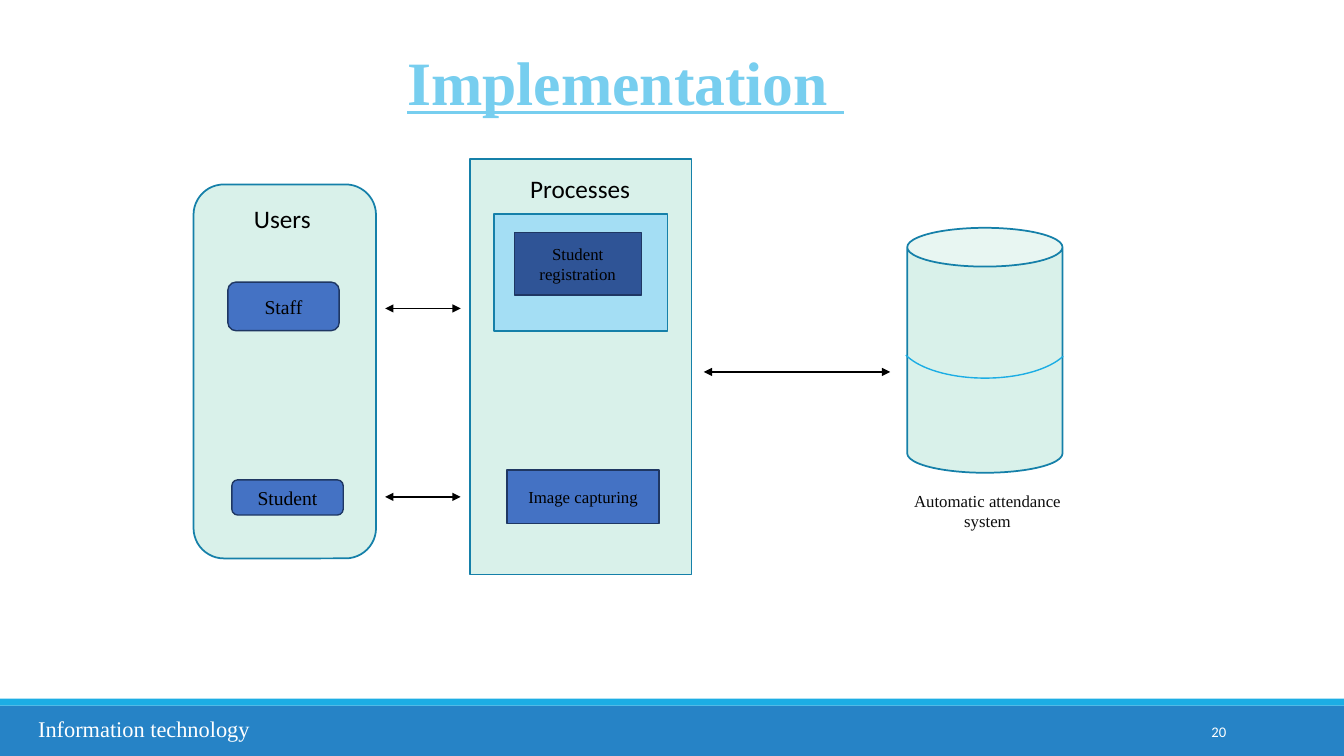
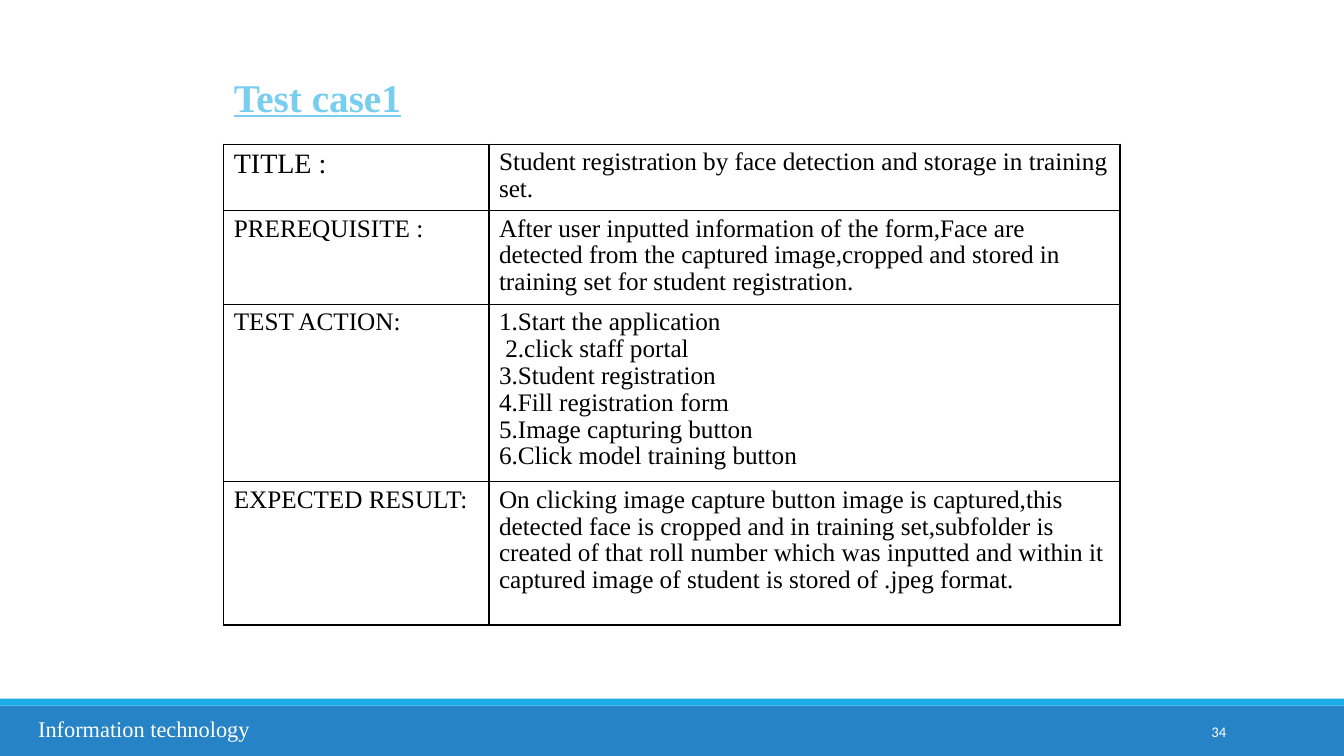
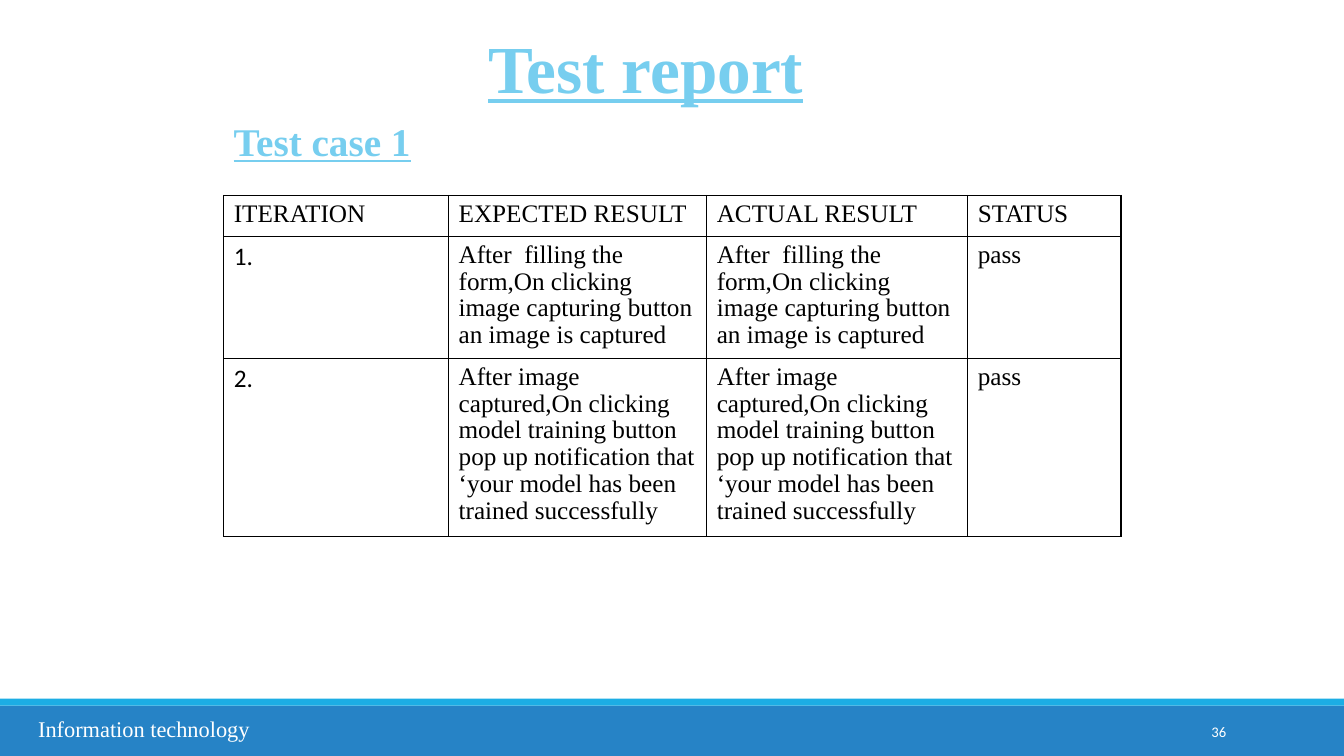
import pptx
import pptx.util
import pptx.dml.color
import pptx.enum.shapes
import pptx.enum.text
import pptx.oxml.ns
from dataclasses import dataclass
from lxml import etree

SHAPE = pptx.enum.shapes.MSO_SHAPE
ALIGN = pptx.enum.text.PP_ALIGN
ANCHOR = pptx.enum.text.MSO_ANCHOR
Pt = pptx.util.Pt
qn = pptx.oxml.ns.qn


@dataclass(frozen=True)
class Theme:
    """Colours, fonts and type sizes of the deck."""
    band: str = "2683C6"
    stripe: str = "1CADE4"
    heading: str = "77CEEF"
    panel: str = "D9F1EA"
    panel_line: str = "1580A9"
    inset: str = "A4DEF4"
    box: str = "4472C4"
    box_dark: str = "2F5496"
    box_line: str = "1F3763"
    white: str = "FFFFFF"
    black: str = "000000"
    caption: str = "0D0D0D"
    serif: str = "Times New Roman"
    sans: str = "Calibri"
    report: float = 48
    title: float = 44
    subtitle: float = 28
    first_cell: float = 20
    body: float = 18
    footer: float = 16
    button: float = 14
    small: float = 12
    number: float = 10.5
    cell_spacing: float = 0.96


T = Theme()
SLIDE = (0, 0, 13.33, 7.5)
TABLE_LEFT = 16.65


def part(box, left, top, width, height):
    """Return the box at the given percentages of another box."""
    x, y, w, h = box
    return (x + w * left / 100, y + h * top / 100, w * width / 100, h * height / 100)


def emu(box):
    """Convert a box from inches to EMU."""
    return [pptx.util.Inches(v) for v in box]


def rgb(color):
    """Return a colour object for a hex string."""
    return pptx.dml.color.RGBColor.from_string(color)


def style(p, size, color=T.black, font=T.serif, align=ALIGN.LEFT, heading=False):
    """Format a whole paragraph."""
    p.alignment = align
    p.font.size = Pt(size)
    p.font.name = font
    p.font.color.rgb = rgb(color)
    p.font.bold = p.font.underline = heading


def write(sp, text, size, anchor=ANCHOR.TOP, **look):
    """Put one formatted paragraph in a shape."""
    tf = sp.text_frame
    tf.word_wrap = True
    tf.auto_size = pptx.enum.text.MSO_AUTO_SIZE.NONE
    tf.vertical_anchor = anchor
    tf.text = text
    style(tf.paragraphs[0], size, **look)


def add_text(s, box, text, size, **look):
    """Add a text box."""
    write(s.shapes.add_textbox(*emu(box)), text, size, **look)


def add_shape(s, kind, box, fill=None, line=None, width=1):
    """Add a flat preset shape."""
    sp = s.shapes.add_shape(kind, *emu(box))
    sp.shadow.inherit = False
    if fill:
        sp.fill.solid()
        sp.fill.fore_color.rgb = rgb(fill)
    else:
        sp.fill.background()
    if line:
        sp.line.color.rgb = rgb(line)
        sp.line.width = Pt(width)
    else:
        sp.line.fill.background()
    return sp


def add_panel(s, kind, box, fill=T.panel):
    """Add a pale diagram panel."""
    return add_shape(s, kind, box, fill, T.panel_line, 1.25)


def add_button(s, kind, box, text, size, fill=T.box):
    """Add a labelled diagram block."""
    sp = add_shape(s, kind, box, fill, T.box_line)
    write(sp, text, size, anchor=ANCHOR.MIDDLE, align=ALIGN.CENTER)


def add_arrow(s, left, right, y):
    """Add a level two-headed arrow at percentages of the slide."""
    x, y, w, _ = part(SLIDE, left, y, right - left, 0)
    c = s.shapes.add_connector(pptx.enum.shapes.MSO_CONNECTOR.STRAIGHT, *emu((x, y, x + w, y)))
    c.line.color.rgb = rgb(T.black)
    c.line.width = Pt(1)
    ln = c.line._get_or_add_ln()
    for end in ("a:headEnd", "a:tailEnd"):
        etree.SubElement(ln, qn(end), type="triangle")
    etree.SubElement(c._element.spPr, qn("a:effectLst"))


def add_heading(s, box, text, size, sp=None):
    """Write an underlined heading in a placeholder or a new text box."""
    sp = sp or s.shapes.add_textbox(*emu(box))
    sp.left, sp.top, sp.width, sp.height = emu(box)
    write(sp, text, size, anchor=ANCHOR.BOTTOM, color=T.heading, heading=True)


def new_slide(prs, box, title, size, number):
    """Add a slide with its bands, title, footer and number."""
    s = prs.slides.add_slide(prs.slide_layouts[5])
    add_shape(s, SHAPE.RECTANGLE, part(SLIDE, 0, 93.33, 100, 6.67), T.band)
    add_shape(s, SHAPE.RECTANGLE, part(SLIDE, 0, 92.4, 100, 0.93), T.stripe)
    add_heading(s, box, title, size, s.shapes.title)
    add_text(s, part(SLIDE, 2.1, 93.87, 22.5, 4.93), "Information technology", T.footer,
             anchor=ANCHOR.BOTTOM, color=T.white)
    add_text(s, part(SLIDE, 81.25, 94.13, 10.73, 5.33), number, T.number,
             anchor=ANCHOR.MIDDLE, color=T.white, font=T.sans, align=ALIGN.RIGHT)
    return s


def border(cell):
    """Give a cell thin black edges."""
    pr = cell._tc.get_or_add_tcPr()
    for i, side in enumerate(("a:lnL", "a:lnR", "a:lnT", "a:lnB")):
        ln = etree.Element(qn(side), w=str(Pt(1)))
        fill = etree.SubElement(ln, qn("a:solidFill"))
        etree.SubElement(fill, qn("a:srgbClr"), val=T.black)
        pr.insert(i, ln)


def add_table(s, box, cols, rows, cells):
    """Add a ruled table whose columns and rows share the box by weight."""
    table = s.shapes.add_table(len(rows), len(cols), *emu(box)).table
    table.first_row = table.horz_banding = False
    for items, weights, attr, size in ((table.columns, cols, "width", box[2]),
                                       (table.rows, rows, "height", box[3])):
        for item, weight in zip(items, weights):
            setattr(item, attr, pptx.util.Inches(size * weight / sum(weights)))
    for i, row in enumerate(cells):
        for j, text in enumerate(row):
            cell = table.cell(i, j)
            cell.fill.background()
            border(cell)
            cell.text = text
            for p in cell.text_frame.paragraphs:
                style(p, T.body)
                p.line_spacing = T.cell_spacing
    return table


def users_panel(s, box):
    """Draw the users region."""
    add_panel(s, SHAPE.ROUNDED_RECTANGLE, box)
    add_text(s, part(box, 27.6, 3.8, 45, 10.8), "Users", T.body, font=T.sans)
    for text, area in (("Staff", (18.8, 26.1, 61, 13)), ("Student", (21, 79, 61, 9.4))):
        add_button(s, SHAPE.ROUNDED_RECTANGLE, part(box, *area), text, T.button)


def processes_panel(s, box):
    """Draw the processes region."""
    add_panel(s, SHAPE.RECTANGLE, box)
    add_text(s, part(box, 22.7, 2.2, 65.5, 9.7), "Processes", T.body, font=T.sans)
    add_panel(s, SHAPE.RECTANGLE, part(box, 10.9, 13.1, 78.2, 28.2), T.inset)
    for text, area, fill in (("Student registration", (20, 17.7, 57.3, 15), T.box_dark),
                             ("Image capturing", (16.8, 74.8, 68.6, 12.9), T.box)):
        add_button(s, SHAPE.RECTANGLE, part(box, *area), text, T.small, fill)


def store_panel(s, box):
    """Draw the storage cylinder and its caption."""
    add_panel(s, SHAPE.CAN, part(box, 5, 0, 87, 77.9))
    caption = add_shape(s, SHAPE.RECTANGLE, part(box, 0, 80.1, 100, 19.9), T.white, T.white)
    write(caption, "Automatic attendance system", T.small, anchor=ANCHOR.MIDDLE,
          color=T.caption, align=ALIGN.CENTER)
    arc = add_shape(s, SHAPE.ARC, part(box, 0, 23.1, 97.2, 24.7), line=T.stripe)
    arc.rotation = 180
    arc.adjustments[0], arc.adjustments[1] = 115.34, 209.25


def implementation_slide(prs):
    """Build the diagram slide."""
    s = new_slide(prs, part(SLIDE, 29.55, 5.07, 47.04, 11.2), "Implementation ", T.title, "20")
    users_panel(s, part(SLIDE, 14.4, 24.4, 13.58, 49.47))
    processes_panel(s, part(SLIDE, 34.96, 21.07, 16.5, 54.93))
    store_panel(s, part(SLIDE, 66.84, 30.13, 13.28, 41.6))
    for ends in ((28.66, 34.28, 40.8), (28.66, 34.28, 65.73), (52.36, 66.24, 49.2)):
        add_arrow(s, *ends)


def test_case_slide(prs):
    """Build the test case slide."""
    s = new_slide(prs, part(SLIDE, TABLE_LEFT, 8.93, 33.31, 7.6), "Test case1", T.subtitle, "34")
    actions = ("1.Start the application", " 2.click staff portal", "3.Student registration",
               "4.Fill registration form", "5.Image capturing button",
               "6.Click model training button")
    cells = (
        ("TITLE :", "Student registration by face detection and storage in training set."),
        ("PREREQUISITE :", "After user inputted information of the form,Face are detected from "
         "the captured image,cropped and stored in training set for student registration."),
        ("TEST ACTION:", "\n".join(actions)),
        ("EXPECTED RESULT:", "On clicking image capture button image is captured,this detected "
         "face is cropped and in training set,subfolder is created of that roll number which was "
         "inputted and within it captured image of student is stored of .jpeg format."),
    )
    table = add_table(s, part(SLIDE, TABLE_LEFT, 19.07, 66.69, 63.6),
                      (2.63, 6.26), (0.66, 0.93, 1.76, 1.42), cells)
    table.cell(0, 0).text_frame.paragraphs[0].font.size = Pt(T.first_cell)


def test_report_slide(prs):
    """Build the test report slide."""
    s = new_slide(prs, part(SLIDE, 35.56, 2.67, 36.53, 12.13), "Test report", T.report, "36")
    add_heading(s, part(SLIDE, TABLE_LEFT, 14.8, 17.93, 7.6), "Test case 1", T.subtitle)
    results = ("After  filling the form,On clicking image capturing button an image is captured",
               "After image captured,On clicking model training button pop up notification that "
               "‘your model has been trained successfully")
    cells = [("ITERATION", "EXPECTED RESULT", "ACTUAL RESULT", "STATUS")]
    cells += [(f"{i}.", result, result, "pass") for i, result in enumerate(results, 1)]
    table = add_table(s, part(SLIDE, TABLE_LEFT, 25.87, 66.77, 45.07),
                      (2.23, 2.56, 2.59, 1.52), (0.41, 1.21, 1.76), cells)
    for i in (1, 2):
        table.cell(i, 0).text_frame.paragraphs[0].font.name = T.sans


def main():
    """Build and save the deck."""
    prs = pptx.Presentation()
    prs.slide_width, prs.slide_height = emu(SLIDE[2:])
    for build in (implementation_slide, test_case_slide, test_report_slide):
        build(prs)
    prs.save("out.pptx")


if __name__ == "__main__":
    main()
